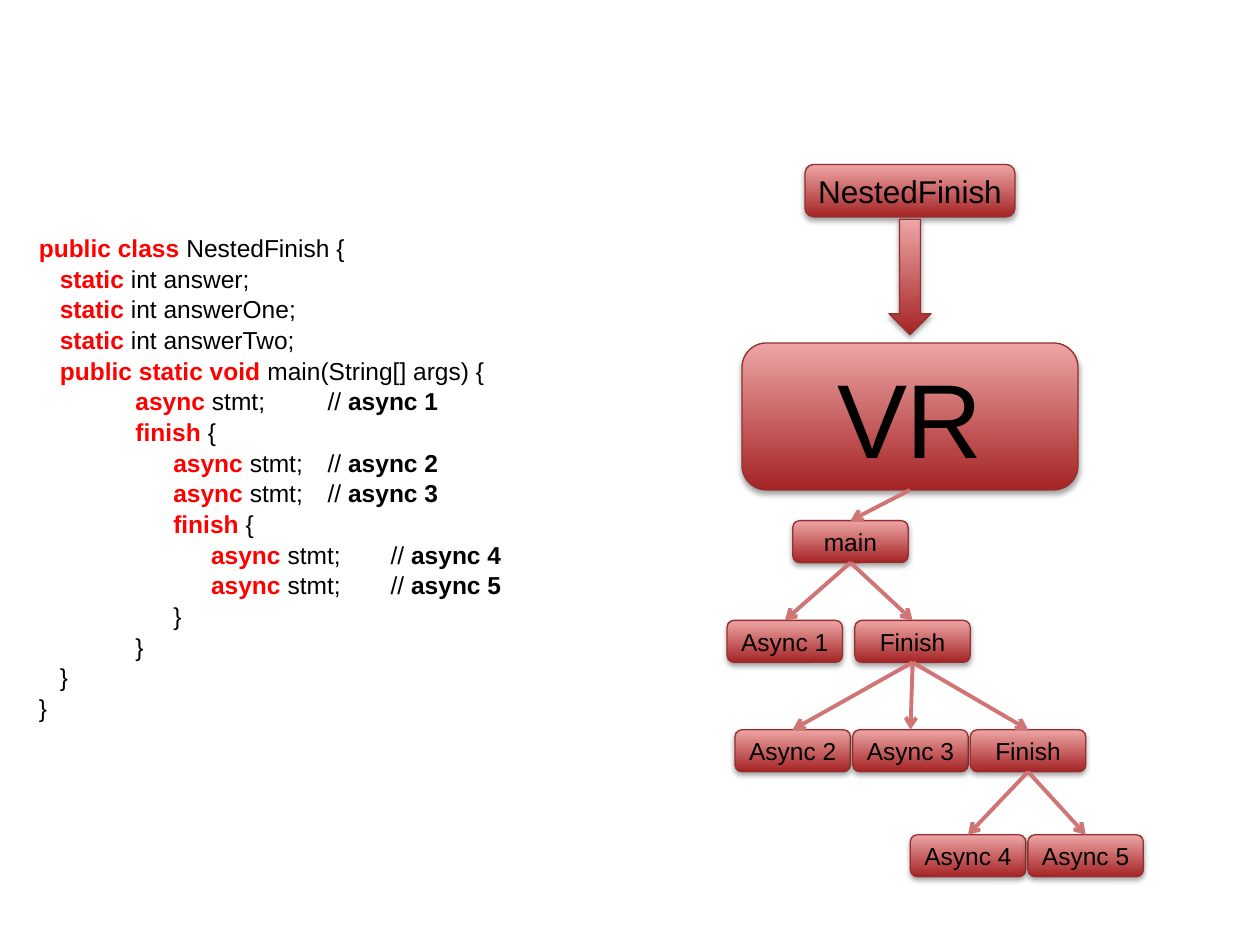
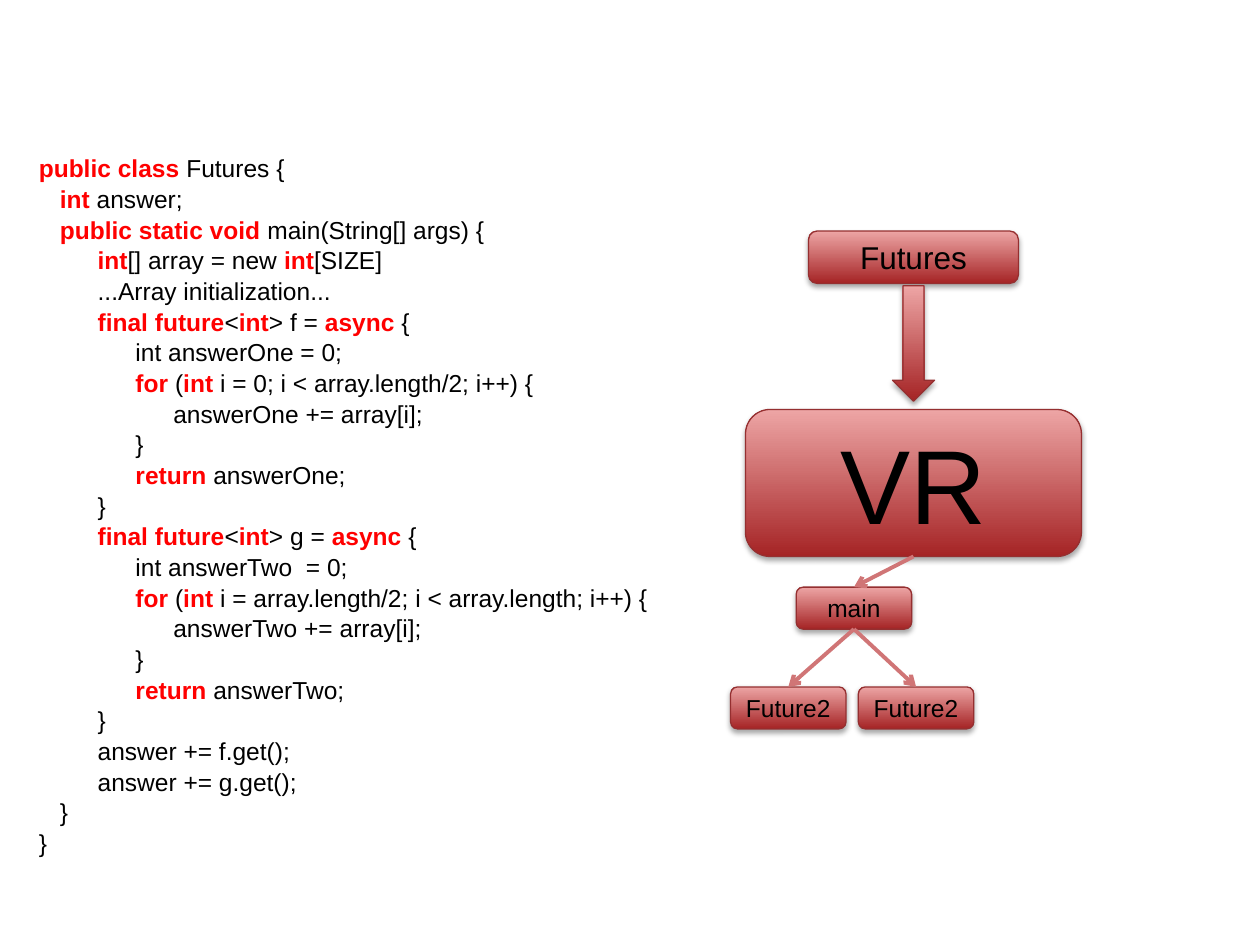
"""Build two slides that pair async code listings with their task trees."""
import pptx
import pptx.dml.color
import pptx.enum.dml
import pptx.enum.shapes
import pptx.enum.text
import pptx.oxml
import pptx.oxml.ns
import pptx.util
from lxml import etree

Pt = pptx.util.Pt
RGBColor = pptx.dml.color.RGBColor
Shape = pptx.enum.shapes.MSO_SHAPE
Anchor = pptx.enum.text.MSO_ANCHOR
Align = pptx.enum.text.PP_ALIGN

BLACK = RGBColor(0x00, 0x00, 0x00)
KEYWORD_RED = RGBColor(0xFF, 0x00, 0x00)
DEEP_RED = RGBColor(0xA5, 0x24, 0x25)
PALE_RED = RGBColor(0xED, 0xA5, 0xA5)
OUTLINE_RED = RGBColor(0x95, 0x2F, 0x30)
ARROW_RED = RGBColor(0xD0, 0x75, 0x76)

FONT = "Arial"
CODE_SIZE = 14
COMMENT_STOP = 197
NODE_WIDTH, NODE_HEIGHT = 66, 24
LEVEL_TOPS = (203.5, 260.5, 323, 383)
TOP_SITE, BOTTOM_SITE = 0, 2

NESTED_CODE = (
    (0, "|public class |NestedFinish {"),
    (1, "|static |int answer;"),
    (1, "|static |int answerOne;"),
    (1, "|static |int answerTwo;"),
    (1, "|public static void |main(String[] args) {"),
    (3, "|async |stmt;\t// async 1"),
    (3, "|finish| {"),
    (4, "|async |stmt;\t// async 2"),
    (4, "|async |stmt;\t// async 3"),
    (4, "|finish| {"),
    (5, "|async |stmt;\t// async 4"),
    (5, "|async |stmt;\t// async 5"),
    (4, "}"),
    (3, "}"),
    (1, "}"),
    (0, "}"),
)


def future_code(name, answer, loop):
    """Return the lines that declare one future."""
    return (
        (2, f"|final future|<|int|> {name} = |async |{{"),
        (3, f"int {answer} = 0;"),
        (3, f"|for |(|int |{loop}; i++) {{"),
        (4, f"{answer.strip()} += array[i];"),
        (3, "}"),
        (3, f"|return |{answer.strip()};"),
        (2, "}"),
    )


FUTURES_CODE = (
    (0, "|public class |Futures {"),
    (1, "|int |answer;"),
    (1, "|public static void |main(String[] args) {"),
    (2, "|int|[] array = new |int|[SIZE]"),
    (2, "...Array initialization..."),
    *future_code("f", "answerOne", "i = 0; i < array.length/2"),
    *future_code("g", "answerTwo ", "i = array.length/2; i < array.length"),
    (2, "answer += f.get();"),
    (2, "answer += g.get();"),
    (1, "}"),
    (0, "}"),
)

NESTED_TREE = ("main", -67, (
    ("Async 1", -104.5, ()),
    ("Finish", -31.5, (
        ("Async 2", -100, ()),
        ("Async 3", -32.7, ()),
        ("Finish", 34.5, (
            ("Async 4", 0.2, ()),
            ("Async 5", 67.4, ()),
        )),
    )),
))
FUTURES_TREE = ("main", -67, (("Future2", -104.5, ()), ("Future2", -31.5, ())))


def set_values(target, values):
    """Set each named attribute of the target."""
    for name, value in values.items():
        setattr(target, name, value)


def add_child(parent, tag, **attributes):
    """Append a DrawingML element and return it."""
    child = etree.SubElement(parent, pptx.oxml.ns.qn(tag))
    for name, value in attributes.items():
        child.set(name, str(value))
    return child


class TaskDeck:
    """Hold the shared style and the current slide."""

    def __init__(self):
        """Start an empty 10 by 7.5 inch deck."""
        self.deck = pptx.Presentation()
        set_values(self.deck, {"slide_width": Pt(720), "slide_height": Pt(540)})
        self.page = None

    def add_page(self):
        """Add a page that has a body but no title."""
        self.page = self.deck.slides.add_slide(self.deck.slide_layouts[1])
        title = self.page.shapes.title.element
        title.getparent().remove(title)

    def add_span(self, para, text, size, color=BLACK, bold=False):
        """Add one formatted run to a paragraph."""
        span = para.add_run()
        span.text = text
        set_values(span.font, {"name": FONT, "size": Pt(size), "bold": bold})
        span.font.color.rgb = color

    def add_code(self, top, lines):
        """Fill the body with code, with keywords between bars."""
        body = self.page.placeholders[1]
        set_values(body, {"left": Pt(0), "top": Pt(top),
                          "width": Pt(414), "height": Pt(391)})
        frame = body.text_frame
        margins = dict.fromkeys(
            ("margin_left", "margin_right", "margin_top", "margin_bottom"), Pt(7.2))
        set_values(frame, {**margins, "word_wrap": True,
                           "vertical_anchor": Anchor.TOP,
                           "auto_size": pptx.enum.text.MSO_AUTO_SIZE.NONE})
        for number, (depth, text) in enumerate(lines):
            para = frame.add_paragraph() if number else frame.paragraphs[0]
            set_values(para, {"alignment": Align.LEFT, "line_spacing": 1.0,
                              "space_before": Pt(0.7), "space_after": Pt(0)})
            properties = para._p.get_or_add_pPr()
            properties.set("marL", "0")
            properties.set("indent", str(Pt(5.4 + 21.6 * depth if depth else 15)))
            add_child(properties, "a:buNone")
            code, mark, label = text.partition("// ")
            if mark:
                stops = add_child(properties, "a:tabLst")
                add_child(stops, "a:tab", pos=Pt(COMMENT_STOP), algn="l")
            for position, part in enumerate((code + mark).split("|")):
                if part:
                    keyword = position % 2 == 1
                    self.add_span(para, part, CODE_SIZE,
                                  KEYWORD_RED if keyword else BLACK, keyword)
            if label:
                self.add_span(para, label, CODE_SIZE, bold=True)

    def add_block(self, kind, left, top, width, height, text="", size=CODE_SIZE):
        """Add a red gradient shape with a soft shadow."""
        box = self.page.shapes.add_shape(
            kind, Pt(left), Pt(top), Pt(width), Pt(height))
        box.fill.gradient()
        box.fill.gradient_angle = 90
        for stop, color in zip(box.fill.gradient_stops, (DEEP_RED, PALE_RED)):
            stop.color.rgb = color
        box.line.color.rgb = OUTLINE_RED
        box.line.width = Pt(0.75)
        box.shadow.inherit = False
        effects = box.element.spPr.find(pptx.oxml.ns.qn("a:effectLst"))
        shadow = add_child(effects, "a:outerShdw", blurRad=Pt(3.1), dist=Pt(1.8),
                           dir=90 * 60000, rotWithShape=0)
        add_child(add_child(shadow, "a:srgbClr", val=BLACK), "a:alpha", val=35000)
        if text:
            frame = box.text_frame
            set_values(frame, {"margin_left": 0, "margin_right": 0,
                               "margin_top": 0, "margin_bottom": 0,
                               "word_wrap": True,
                               "vertical_anchor": Anchor.MIDDLE})
            para = frame.paragraphs[0]
            para.alignment = Align.CENTER
            self.add_span(para, text, size)
        return box

    def add_arrow(self, parent, child):
        """Join the bottom of one box to the top of another."""
        line = self.page.shapes.add_connector(
            pptx.enum.shapes.MSO_CONNECTOR.STRAIGHT, 0, 0, 0, 0)
        line.begin_connect(parent, BOTTOM_SITE)
        line.end_connect(child, TOP_SITE)
        line.line.color.rgb = ARROW_RED
        line.line.width = Pt(2.25)
        add_child(line.line._get_or_add_ln(), "a:tailEnd", type="arrow")
        add_child(line.element.spPr, "a:effectLst")

    def add_tree(self, parent, node, center, top, level=0):
        """Draw a node below its parent, then its children."""
        label, offset, children = node
        box = self.add_block(Shape.ROUNDED_RECTANGLE, center + offset,
                             top + LEVEL_TOPS[level], NODE_WIDTH, NODE_HEIGHT, label)
        self.add_arrow(parent, box)
        for child in children:
            self.add_tree(box, child, center, top, level + 1)

    def add_diagram(self, center, top, program, tree):
        """Draw a program, its runtime and the tasks it spawns."""
        self.add_block(Shape.ROUNDED_RECTANGLE, center - 60, top, 120, 30, program, 18)
        self.add_block(Shape.DOWN_ARROW, center - 12, top + 31.3, 24, 66)
        runtime = self.add_block(
            Shape.ROUNDED_RECTANGLE, center - 96, top + 102, 192, 84, "VR", 60)
        self.add_tree(runtime, tree, center, top)


def main():
    """Build both pages and save the deck."""
    tasks = TaskDeck()
    for code_top, code, center, top, program, tree in (
        (126, NESTED_CODE, 520, 94, "NestedFinish", NESTED_TREE),
        (80.5, FUTURES_CODE, 522, 132, "Futures", FUTURES_TREE),
    ):
        tasks.add_page()
        tasks.add_code(code_top, code)
        tasks.add_diagram(center, top, program, tree)
    tasks.deck.save("out.pptx")


if __name__ == "__main__":
    main()
